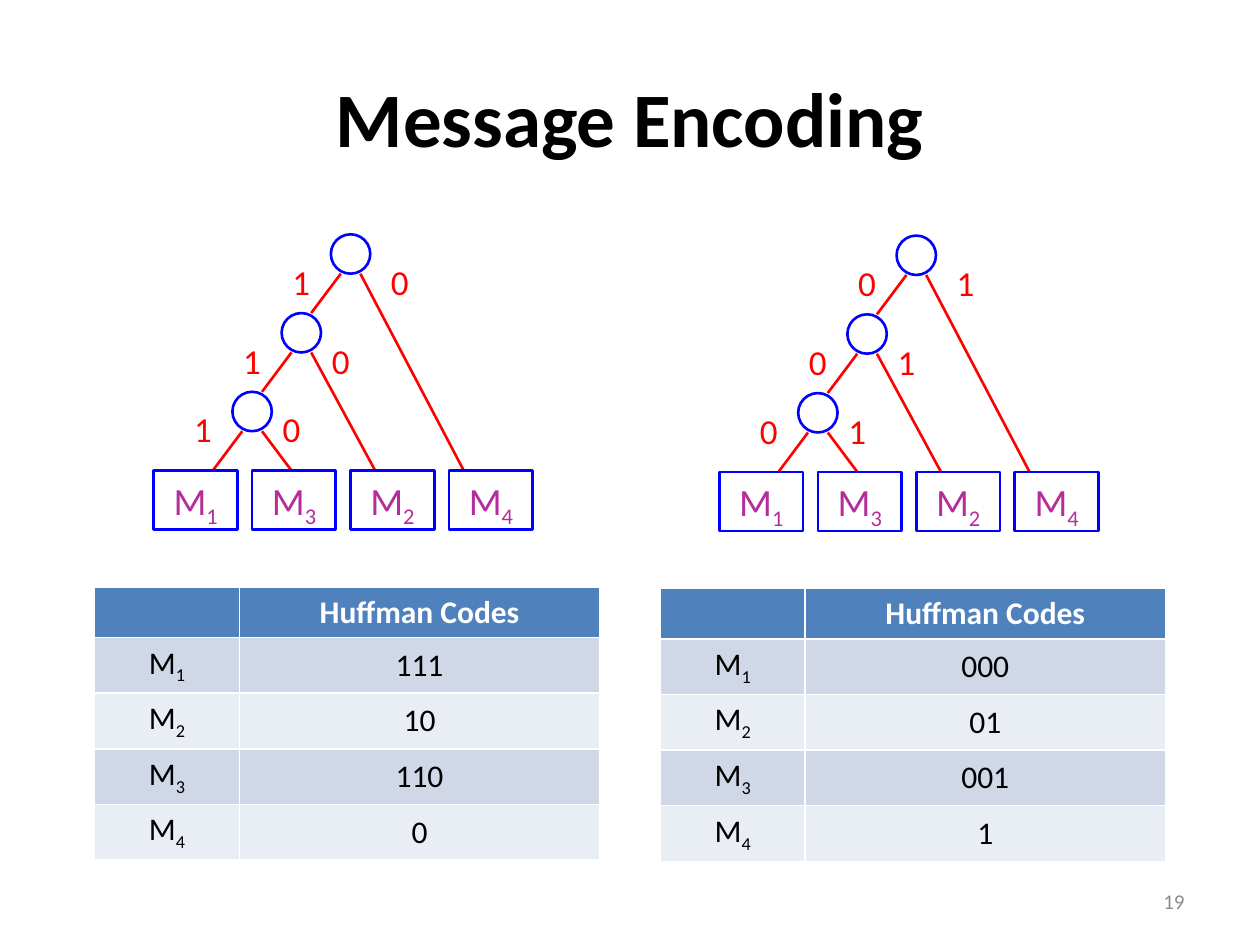
from pptx import Presentation
from pptx.dml.color import RGBColor
from pptx.enum.shapes import MSO_CONNECTOR, MSO_SHAPE
from pptx.enum.text import MSO_ANCHOR, PP_ALIGN
from pptx.oxml.ns import qn
from pptx.util import Inches, Pt

CENTER, RIGHT = PP_ALIGN.CENTER, PP_ALIGN.RIGHT
TOP, MIDDLE = MSO_ANCHOR.TOP, MSO_ANCHOR.MIDDLE
OVAL, RECT = MSO_SHAPE.OVAL, MSO_SHAPE.RECTANGLE
STRAIGHT = MSO_CONNECTOR.STRAIGHT

WIDTH, HEIGHT = 10, 7.5
ROW = HEIGHT / 24
COL = 1.25 * ROW


def rgb(value):
    return RGBColor.from_string(value)


class Deck:
    font = "Calibri"
    node, edge, leaf = "0000FF", "FF0000", "B52D9B"
    header, bands = "4F81BD", ("D0D8E8", "E9EDF4")

    def __init__(self):
        self.prs = Presentation()
        self.prs.slide_width, self.prs.slide_height = Inches(WIDTH), Inches(HEIGHT)
        self.s = self.prs.slides.add_slide(self.prs.slide_layouts[6])
        self.start(self.s.shapes, 0, 0)

    def start(self, shapes, left, top):
        self.shapes, self.left, self.top = shapes, left, top

    def point(self, x, y):
        return Inches(self.left + x * COL), Inches(self.top + y * ROW)

    def box(self, x, y, w, h):
        return (*self.point(x, y), Inches(w * COL), Inches(h * ROW))

    def fill_text(self, tf, text, size, color, align=CENTER, bold=False, sub=""):
        p = tf.paragraphs[0]
        p.alignment = align
        for part in filter(None, (text, sub)):
            r = p.add_run()
            r.text = part
            formats = {"name": self.font, "size": Pt(size), "bold": bold}
            for name, value in formats.items():
                setattr(r.font, name, value)
            r.font.color.rgb = rgb(color)
        if sub:
            r.font._element.set("baseline", "-25000")

    def text(self, x, y, w, h, text, size, color, anchor=TOP, **style):
        tf = self.shapes.add_textbox(*self.box(x, y, w, h)).text_frame
        tf.word_wrap, tf.vertical_anchor = True, anchor
        self.fill_text(tf, text, size, color, **style)

    def shape(self, kind, x, y, w, h, text="", sub=""):
        sp = self.shapes.add_shape(kind, *self.box(x, y, w, h))
        sp.shadow.inherit = False
        sp.fill.background()
        sp.line.color.rgb, sp.line.width = rgb(self.node), Pt(1.5)
        sp.text_frame.vertical_anchor = TOP
        if text:
            self.fill_text(sp.text_frame, text, 22, self.leaf, sub=sub)

    def line(self, x1, y1, x2, y2):
        c = self.shapes.add_connector(STRAIGHT, *self.point(x1, y1), *self.point(x2, y2))
        c.line.color.rgb, c.line.width = rgb(self.edge), Pt(1.5)
        sp_pr = c._element.spPr
        sp_pr.append(sp_pr.makeelement(qn("a:effectLst"), {}))

    def tree(self, left, top, near, far):
        self.start(self.s.shapes.add_group_shape().shapes, left, top)
        ends, label_rows, label_gaps = (6.3, 4.5, 2.8), (0.5, 2.5, 4.25), (0.6, 0.4, 0.4)
        for level, (end, label_y, gap) in enumerate(zip(ends, label_rows, label_gaps)):
            x, y = 3.6 - level, 2 * level
            self.shape(OVAL, x, y, 0.8, 1)
            self.line(x + 0.2, y + 1, x - 0.4, y + 2)
            self.line(x + 0.6, y + 1, end, 6)
            self.text(x - 1.4, label_y, 1.6, 1.4, near, 20, self.edge)
            self.text(x + gap, label_y, 1.6, 1.4, far, 20, self.edge)
        for i, message in enumerate("1324"):
            self.shape(RECT, 2 * i, 6, 1.7, 1.5, "M", message)

    def table(self, left, top, codes):
        widths, heights = (1.15, 2.86), [0.4] + [0.44] * len(codes)
        frame = self.s.shapes.add_table(len(heights), 2, Inches(left), Inches(top),
                                        Inches(sum(widths)), Inches(sum(heights)))
        t = frame.table
        for column, width in zip(t.columns, widths):
            column.width = Inches(width)
        for row, height in zip(t.rows, heights):
            row.height = Inches(height)
        self.cell(t.cell(0, 0), self.header)
        self.cell(t.cell(0, 1), self.header, "Huffman Codes", "FFFFFF", bold=True)
        for i, code in enumerate(codes, 1):
            fill = self.bands[(i - 1) % 2]
            self.cell(t.cell(i, 0), fill, "M", sub=str(i))
            self.cell(t.cell(i, 1), fill, code)

    def cell(self, cell, fill, text="", color="000000", **style):
        cell.fill.solid()
        cell.fill.fore_color.rgb = rgb(fill)
        cell.vertical_anchor = MIDDLE
        self.fill_text(cell.text_frame, text, 18, color, **style)


deck = Deck()
deck.text(1.28, 0.96, 23.04, 4, "Message Encoding", 44, "000000", MIDDLE, bold=True)
deck.text(18.35, 22.24, 5.97, 1.28, "19", 12, "8C8C8C", MIDDLE, align=RIGHT)
panels = (
    (0.75, 4.66, "1", "0", ("111", "10", "110", "0")),
    (5.24, 4.67, "0", "1", ("000", "01", "001", "1")),
)
for left, top, near, far, codes in panels:
    deck.table(left, top, codes)
    deck.tree(left + 0.47, top - 2.8, near, far)
deck.prs.save("out.pptx")
